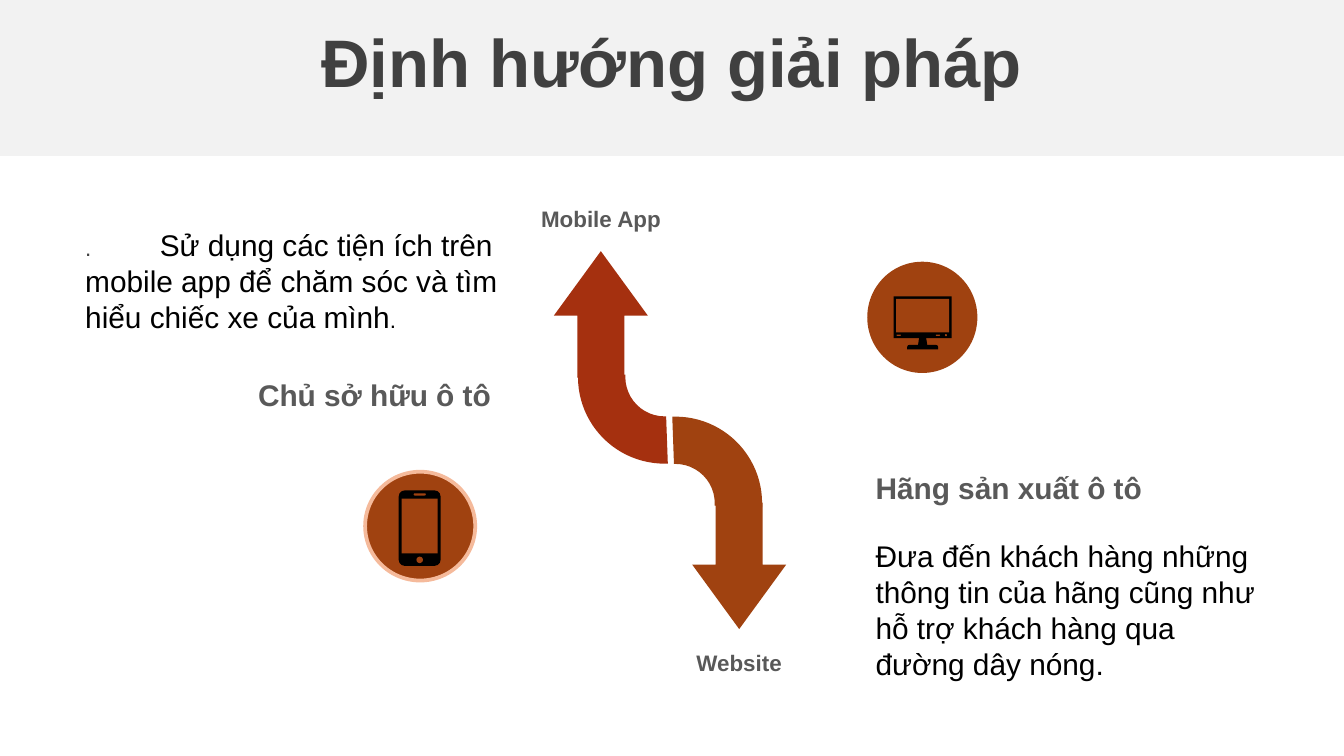
from lxml.etree import SubElement
from pptx import Presentation
from pptx.dml.color import RGBColor
from pptx.enum.shapes import MSO_SHAPE
from pptx.enum.text import MSO_ANCHOR, PP_ALIGN
from pptx.oxml.ns import qn
from pptx.util import Pt

COLORS = {"band": "F2F2F2", "title": "404040", "label": "595959", "text": "000000",
          "red": "A5300F", "brown": "A04210", "ring": "F5BA9B", "icon": "000000"}


def color(name):
    """Look up a named colour."""
    return RGBColor.from_string(COLORS[name])


def add_block(s, kind, box, fill, adjustments=(), rotation=0):
    """Add a flat filled shape without an outline."""
    sp = s.shapes.add_shape(kind, *map(Pt, box))
    sp.shadow.inherit = False
    sp.fill.solid()
    sp.fill.fore_color.rgb = color(fill)
    sp.line.fill.background()
    for i, value in enumerate(adjustments):
        sp.adjustments[i] = value
    sp.rotation = rotation
    return sp


def style(font, size, name, bold=False):
    """Apply the slide's font with a size, colour and weight."""
    font.name, font.size, font.bold = "Arial", Pt(size), bold
    font.color.rgb = color(name)


def add_text(s, box, text="", size=16, name="label", bold=True, align=PP_ALIGN.LEFT):
    """Add a wrapped, vertically centred text box and return its paragraph."""
    tf = s.shapes.add_textbox(*map(Pt, box)).text_frame
    tf.word_wrap = True
    tf.vertical_anchor = MSO_ANCHOR.MIDDLE
    p = tf.paragraphs[0]
    p.alignment = align
    if text:
        p.text = text
        style(p.font, size, name, bold)
    return p


def add_header(s, box):
    """Place the title over a full-width band."""
    left, top, width, height = box
    band = add_block(s, MSO_SHAPE.RECTANGLE, box, "band")
    title = s.shapes.title
    title.left, title.top = Pt(left), Pt(top + 10)
    title.width, title.height = Pt(width), Pt(45.5)
    title._element.addprevious(band._element)
    tf = title.text_frame
    tf.vertical_anchor = MSO_ANCHOR.MIDDLE
    p = tf.paragraphs[0]
    p.text = "Định hướng giải pháp"
    p.alignment = PP_ALIGN.CENTER
    style(p.font, 36, "title", True)


def add_bent_arrow(s, box, fill, down=False):
    """Place a straight arrow joined to a quarter arc, turned over if it points down."""
    left, top, width, height = box
    arrow_w, arrow_h, arc = 50.4, 67.7, 92.9
    dx, dy = width - arrow_w, height - arrow_h
    arrow = (left + dx * down, top + dy * down, arrow_w, arrow_h)
    arc_x, arc_y = (width - arc) * (not down), (height - arc) * (not down)
    add_block(s, MSO_SHAPE.UP_ARROW, arrow, fill, (0.5, 0.686), 180 * down)
    add_block(s, MSO_SHAPE.BLOCK_ARC, (left + arc_x, top + arc_y, arc, arc), fill,
              (160.743, 2.096, 0.273), 180 * (not down))


def add_owner_text(s, box):
    """Place the car owner's description with its heading below."""
    left, top, width, height = box
    p = add_text(s, (left, top, width, 65.5))
    tabs = SubElement(p._p.get_or_add_pPr(), qn("a:tabLst"))
    SubElement(tabs, qn("a:tab"), pos=str(Pt(40)), algn="l")
    parts = ((".\t", 12, "title"),
             ("Sử dụng các tiện ích trên mobile app để chăm sóc và tìm hiểu chiếc xe của mình",
              16, "text"),
             (".", 12, "text"))
    for text, size, name in parts:
        r = p.add_run()
        r.text = text
        style(r.font, size, name)
    add_text(s, (left, top + height - 26.6, width, 26.6), "Chủ sở hữu ô tô ",
             align=PP_ALIGN.RIGHT)


def add_maker_text(s, box):
    """Place the car maker's heading with its description below."""
    left, top, width, height = box
    add_text(s, (left, top, width, 26.6), "Hãng sản xuất ô tô")
    add_text(s, (left, top + 36, width, height - 36),
             "Đưa đến khách hàng những thông tin của hãng cũng như hỗ trợ khách hàng "
             "qua đường dây nóng.", name="text", bold=False)


def add_parts(s, left, top, parts):
    """Place icon parts at offsets from a corner."""
    for kind, x, y, w, h, fill, *adjustments in parts:
        add_block(s, kind, (left + x, top + y, w, h), fill, adjustments)


def add_phone_badge(s, box):
    """Place a phone on a ringed disc."""
    disc = add_block(s, MSO_SHAPE.OVAL, box, "brown")
    disc.line.color.rgb = color("ring")
    disc.line.width = Pt(2)
    add_parts(s, box[0] + 18, box[1] + 10, (
        (MSO_SHAPE.ROUNDED_RECTANGLE, 0, 0, 22.5, 40.5, "icon", 0.15),
        (MSO_SHAPE.RECTANGLE, 1.6, 4.4, 19.3, 29.4, "brown"),
        (MSO_SHAPE.ROUNDED_RECTANGLE, 8, 1.6, 6.5, 1.2, "brown", 0.5),
        (MSO_SHAPE.OVAL, 9.5, 35.5, 3.5, 3.5, "brown")))


def add_monitor_badge(s, box):
    """Place a desktop monitor on a disc."""
    add_block(s, MSO_SHAPE.OVAL, box, "brown")
    add_parts(s, box[0] + 14.2, box[1] + 18.6, (
        (MSO_SHAPE.RECTANGLE, 0, 0, 31, 22.4, "icon"),
        (MSO_SHAPE.RECTANGLE, 1.3, 1.3, 28.4, 18, "brown"),
        (MSO_SHAPE.ROUNDED_RECTANGLE, 1.5, 20.4, 2.3, 0.7, "brown", 0.5),
        (MSO_SHAPE.ROUNDED_RECTANGLE, 22.5, 20.4, 2.3, 0.7, "brown", 0.5),
        (MSO_SHAPE.OVAL, 27.4, 20.2, 1.1, 1.1, "brown"),
        (MSO_SHAPE.TRAPEZOID, 13, 22.4, 5, 3.8, "icon", 0.15),
        (MSO_SHAPE.ROUND_2_SAME_RECTANGLE, 7.2, 26, 16.6, 2.4, "icon", 0.5, 0)))


def main():
    """Build and save the slide."""
    prs = Presentation()
    prs.slide_width, prs.slide_height = Pt(720), Pt(405)
    s = prs.slides.add_slide(prs.slide_layouts[5])
    add_header(s, (0, 0, 720, 83.5))
    add_bent_arrow(s, (296.7, 134.6, 105.8, 113.8), "red")
    add_bent_arrow(s, (315.4, 223.2, 105.8, 113.8), "brown", down=True)
    for left, top, text in ((260, 106, "Mobile App"), (334, 344, "Website")):
        add_text(s, (left, top, 124, 21.8), text, 12, align=PP_ALIGN.CENTER)
    add_maker_text(s, (462, 248, 222.5, 121))
    add_owner_text(s, (38.6, 117.6, 236, 107))
    add_phone_badge(s, (195.6, 252.7, 59, 58.3))
    add_monitor_badge(s, (464.6, 140.2, 59, 59.6))
    prs.save("out.pptx")


if __name__ == "__main__":
    main()
